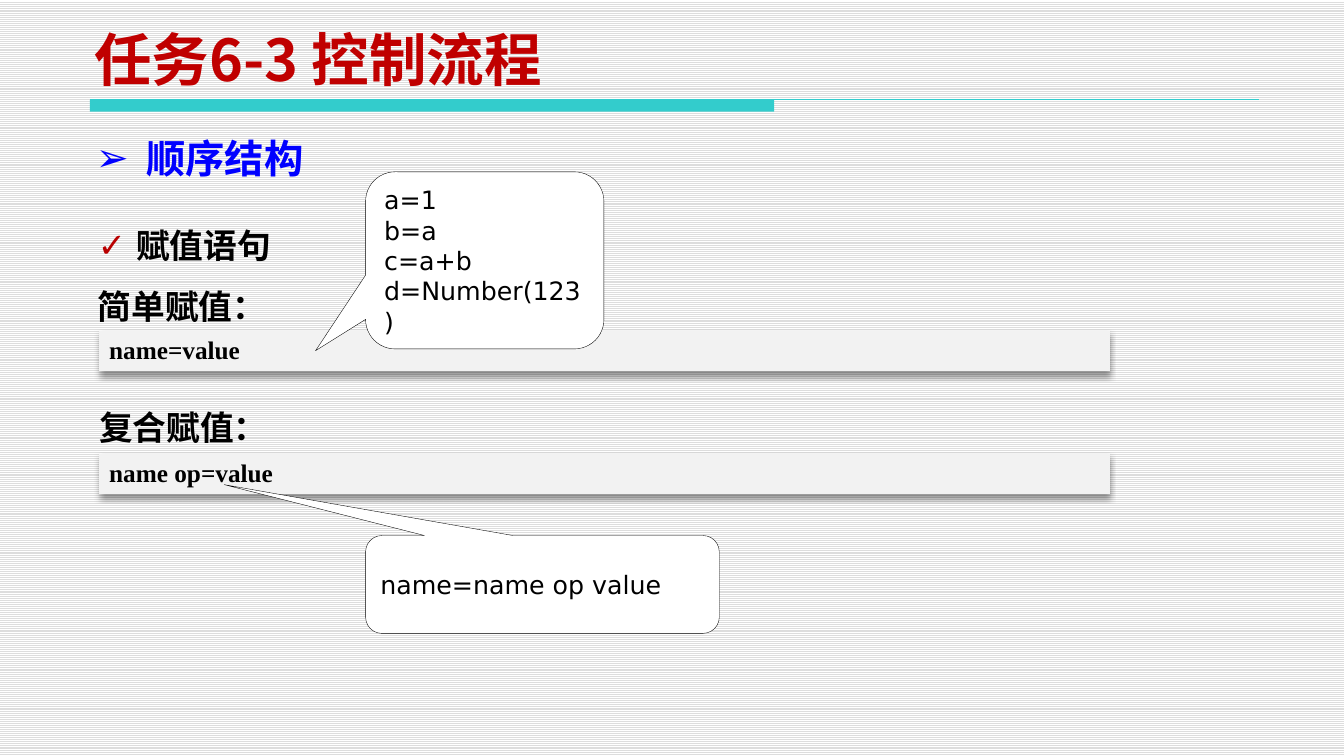
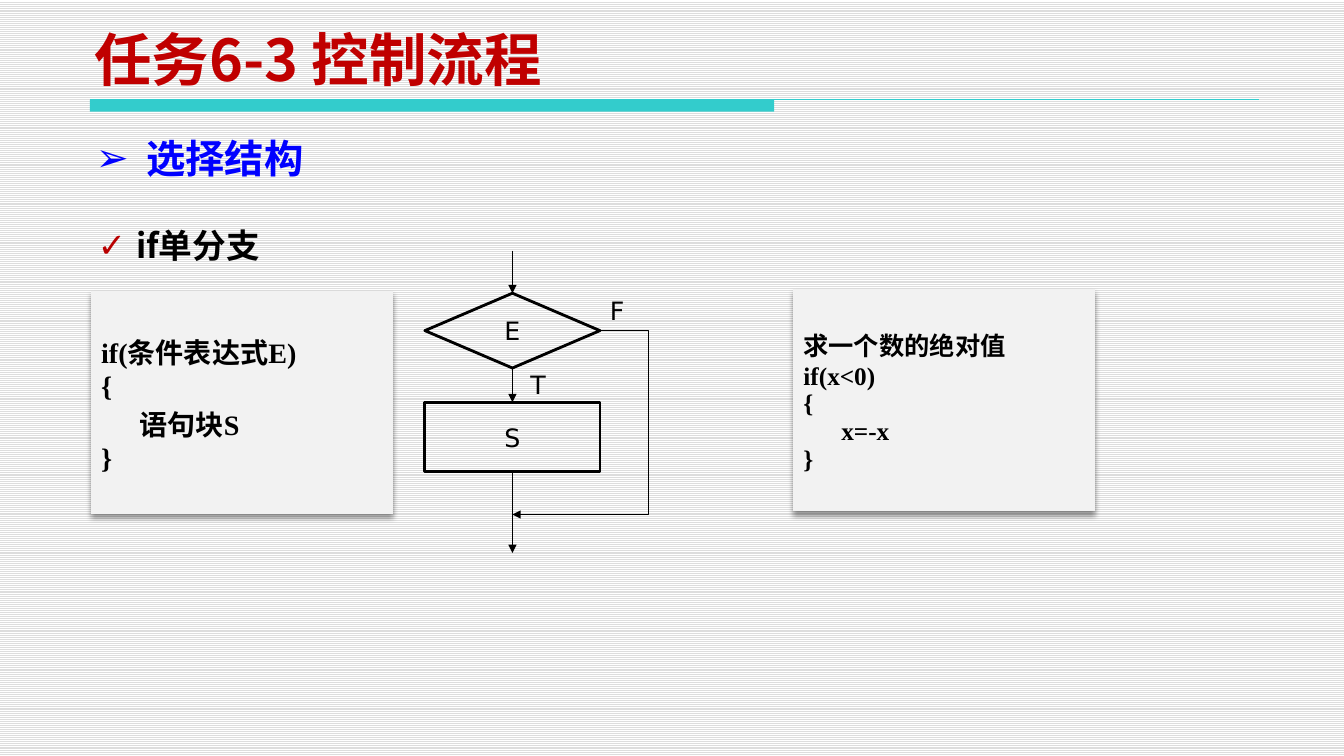
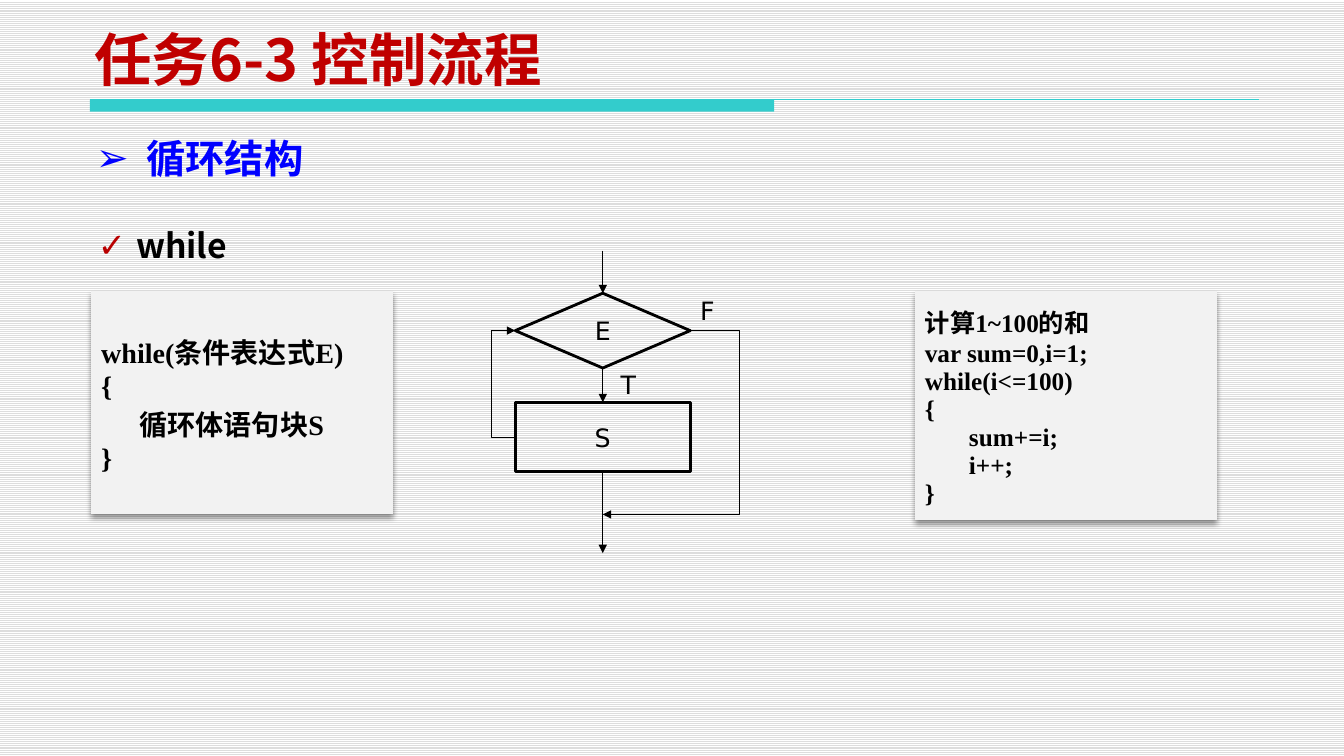
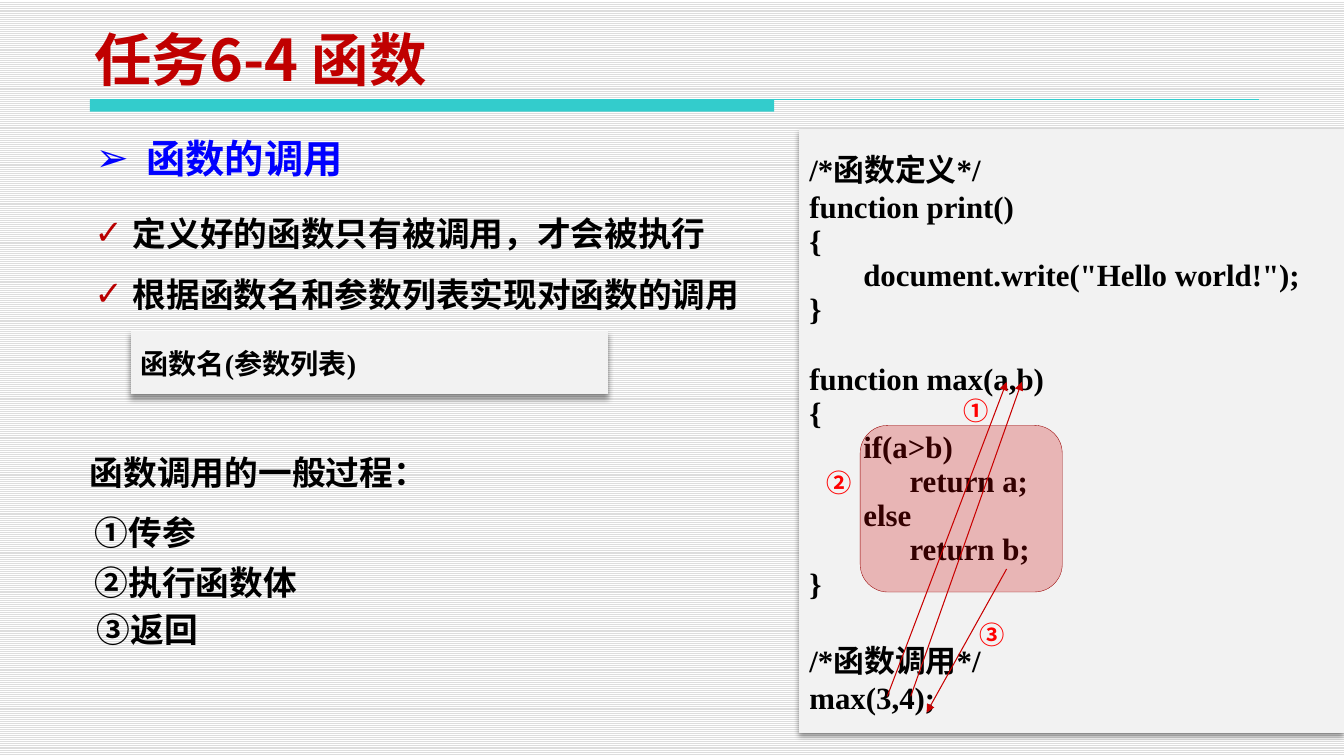
import dataclasses
import typing

import lxml.etree
import pptx
import pptx.dml.color
import pptx.enum.dml
import pptx.enum.shapes
import pptx.enum.text
import pptx.oxml
import pptx.oxml.ns
import pptx.util

Cm, Pt, qn = pptx.util.Cm, pptx.util.Pt, pptx.oxml.ns.qn
SHAPE = pptx.enum.shapes.MSO_SHAPE
CONNECTOR = pptx.enum.shapes.MSO_CONNECTOR
ANCHOR = pptx.enum.text.MSO_ANCHOR
ALIGN = pptx.enum.text.PP_ALIGN
NSDECL = 'xmlns:a="http://schemas.openxmlformats.org/drawingml/2006/main"'

SANS, CJK, SERIF = "DejaVu Sans", "Noto Sans CJK SC", "Times New Roman"
BLACK, WHITE, TEAL, CODE_FILL = "000000", "FFFFFF", "33CCCC", "F2F2F2"
TITLE_RED, HEADING_BLUE, CHECK_RED = "C00000", "0000FF", "B90000"
ARROW_RED, MARK_RED, BODY_RED, BODY_EDGE = "C80000", "FF0000", "CC0000", "970000"


class Box(typing.NamedTuple):
    """Left, top, width and height in centimetres."""
    x: float
    y: float
    w: float
    h: float

    def lengths(self) -> list:
        return [Cm(v) for v in self]


class Bullet(typing.NamedTuple):
    char: str
    color: str
    indent: float


@dataclasses.dataclass(frozen=True)
class Style:
    size: float
    font: str
    color: str = BLACK
    bold: bool = True
    spacing: typing.Optional[float] = None
    align: typing.Optional[ALIGN] = None


TITLE = Style(41, CJK, TITLE_RED, align=ALIGN.LEFT)
HEADING = Style(28, SANS, HEADING_BLUE)
BODY = Style(24, CJK, spacing=1.5)
MARK = Style(18, CJK, MARK_RED, spacing=1.5)
PLAIN = Style(18, SANS, bold=False, align=ALIGN.LEFT)
CENTRED = dataclasses.replace(PLAIN, align=ALIGN.CENTER)
CODE_18, CODE_20, CODE_22 = (Style(size, SERIF) for size in (18, 20, 22))
ARROW_BULLET = Bullet("➢", HEADING_BLUE, 1.27)
CHECK_BULLET = Bullet("✓", CHECK_RED, 0.96)


def rgb(value: str) -> pptx.dml.color.RGBColor:
    return pptx.dml.color.RGBColor.from_string(value)


def add_xml(parent, xml: str, index: typing.Optional[int] = None) -> None:
    """Insert a DrawingML element, at the end unless an index is given."""
    tag, rest = xml[1:].split(" ", 1)
    element = pptx.oxml.parse_xml(f"<{tag} {NSDECL} {rest}")
    parent.insert(len(parent) if index is None else index, element)


def add_bullet(p, bullet: Bullet) -> None:
    pPr = p._p.get_or_add_pPr()
    pPr.set("marL", str(Cm(bullet.indent)))
    pPr.set("indent", str(-Cm(bullet.indent)))
    add_xml(pPr, f'<a:buClr ><a:srgbClr val="{bullet.color}"/></a:buClr>')
    add_xml(pPr, f'<a:buFont typeface="{SANS}"/>')
    add_xml(pPr, f'<a:buChar char="{bullet.char}"/>')


def write(tf, lines: typing.Sequence[str], style: Style,
          bullets: typing.Sequence[typing.Optional[Bullet]] = ()) -> None:
    """Write one paragraph per line; an empty line becomes space before the next."""
    p, gap = tf.paragraphs[0], False
    for i, line in enumerate(lines):
        if not line:
            gap = True
            continue
        if i:
            p = tf.add_paragraph()
        if i < len(bullets) and bullets[i]:
            add_bullet(p, bullets[i])
        if gap:
            p.space_before = Pt(round(style.size * 1.15))
            gap = False
        for name, value in {"line_spacing": style.spacing, "alignment": style.align}.items():
            if value is not None:
                setattr(p, name, value)
        r = p.add_run()
        r.text = line
        for name, value in {"size": Pt(style.size), "bold": style.bold, "name": style.font}.items():
            setattr(r.font, name, value)
        r.font.color.rgb = rgb(style.color)
        add_xml(r._r.get_or_add_rPr(), f'<a:ea typeface="{CJK}"/>')


def add_text(s, box: Box, lines: typing.Sequence[str], style: Style,
             bullets: typing.Sequence[typing.Optional[Bullet]] = (), wrap: bool = True) -> None:
    tf = s.shapes.add_textbox(*box.lengths()).text_frame
    tf.word_wrap = wrap
    write(tf, lines, style, bullets)


def add_shape(s, kind: SHAPE, box: Box, line: str, width: float,
              fill: typing.Optional[str] = None, alpha: int = 100):
    sp = s.shapes.add_shape(kind, *box.lengths())
    sp.shadow.inherit = False
    if fill:
        sp.fill.solid()
        sp.fill.fore_color.rgb = rgb(fill)
        if alpha < 100:
            color = sp.element.spPr.find(f"{qn('a:solidFill')}/{qn('a:srgbClr')}")
            add_xml(color, f'<a:alpha val="{alpha * 1000}"/>')
    else:
        sp.fill.background()
    sp.line.color.rgb = rgb(line)
    sp.line.width = Pt(width)
    return sp


def add_line(s, begin: tuple, end: tuple, color: str = BLACK,
             arrow: bool = True, kind: CONNECTOR = CONNECTOR.STRAIGHT):
    line = s.shapes.add_connector(kind, *(Cm(v) for v in begin + end))
    line.line.color.rgb = rgb(color)
    line.line.width = Pt(0.75)
    if arrow:
        add_xml(line.line._get_or_add_ln(), '<a:tailEnd type="triangle"/>')
    lxml.etree.SubElement(line.element.spPr, qn("a:effectLst"))
    return line


def add_elbow(s, begin: tuple, end: tuple, via_x: float) -> None:
    """Draw a three-part arrow whose upright part stands at via_x."""
    line = add_line(s, begin, end, kind=CONNECTOR.ELBOW)
    adjust = round((via_x - begin[0]) / (end[0] - begin[0]) * 100000)
    geometry = line.element.spPr.find(qn("a:prstGeom"))
    add_xml(geometry.find(qn("a:avLst")), f'<a:gd name="adj1" fmla="val {adjust}"/>')


def add_code(s, box: Box, lines: typing.Sequence[str], style: Style) -> None:
    """Add a one-cell table with a soft shadow below it."""
    table = s.shapes.add_table(1, 1, *box.lengths()).table
    table.first_row = table.horz_banding = False
    add_xml(table._tbl.tblPr,
            '<a:effectLst ><a:outerShdw blurRad="50800" dist="38100" dir="5400000" algn="t">'
            '<a:srgbClr val="000000"><a:alpha val="40000"/></a:srgbClr>'
            '</a:outerShdw></a:effectLst>', 0)
    cell = table.cell(0, 0)
    cell.fill.solid()
    cell.fill.fore_color.rgb = rgb(CODE_FILL)
    cell.vertical_anchor = ANCHOR.MIDDLE
    tcPr = cell._tc.get_or_add_tcPr()
    for i, side in enumerate("LRTB"):
        add_xml(tcPr, f'<a:ln{side} w="0"><a:noFill/></a:ln{side}>', i)
    write(cell.text_frame, lines, style)


def add_callout(s, box: Box, tip: tuple, lines: typing.Sequence[str]) -> None:
    sp = add_shape(s, SHAPE.ROUNDED_RECTANGULAR_CALLOUT, box, BLACK, 0.25, WHITE)
    for i, value in enumerate(tip):
        sp.adjustments[i] = value
    write(sp.text_frame, lines, PLAIN)


def add_flowchart(s, x: float, loop: bool = False) -> None:
    """Draw the E/S flowchart centred on x; a loop leads from S back to E."""
    half = 2.2
    test_y, block_y, join_y = 8.31, 10.99, 12.93
    test = add_shape(s, SHAPE.DIAMOND, Box(x - half, 7.37, 2 * half, 1.88), BLACK, 2)
    block = add_shape(s, SHAPE.FLOWCHART_PROCESS, Box(x - half, 10.11, 2 * half, 1.75), BLACK, 2)
    for sp, letter in ((test, "E"), (block, "S")):
        write(sp.text_frame, [letter], CENTRED)
    enter = add_line(s, (x, 6.3), (x, 7.37))
    enter.end_connect(test, 0)
    accept = add_line(s, (x, 9.25), (x, 10.11))
    accept.begin_connect(test, 2)
    accept.end_connect(block, 0)
    leave = add_line(s, (x, 11.86), (x, 13.9))
    leave.begin_connect(block, 2)
    add_elbow(s, (x + half, test_y), (x, join_y), x + 3.43)
    if loop:
        add_elbow(s, (x - half + 0.02, block_y), (x - half, test_y), x - 2.79)
    for letter, dx, y in (("T", 0.2, 9.15), ("F", half, 7.3)):
        add_text(s, Box(x + dx, y, 0.91, 1.02), [letter], PLAIN, wrap=False)


def set_up_layout(layout, s) -> None:
    """Give the layout its background and move the title band from s to it."""
    fill = layout.background.fill
    fill.patterned()
    fill.pattern = pptx.enum.dml.MSO_PATTERN.LIGHT_HORIZONTAL
    fill.fore_color.rgb = rgb("DDDDDD")
    fill.back_color.rgb = rgb(WHITE)
    band = add_shape(s, SHAPE.RECTANGLE, Box(2.26, 2.51, 17.2, 0.3), TEAL, 0.75, TEAL)
    band.line.fill.background()
    rule = add_line(s, (2.26, 2.51), (31.65, 2.51), TEAL, arrow=False)
    for sp in (band, rule):
        layout.shapes.element.append(sp.element)


def add_headings(s, title: str, heading: str) -> None:
    sp = s.shapes.title
    box = Box(2.11, 0.71, 24.61, 1.75)
    for name, value in zip(("left", "top", "width", "height"), box.lengths()):
        setattr(sp, name, value)
    tf = sp.text_frame
    for name, value in {"vertical_anchor": ANCHOR.BOTTOM, "word_wrap": True,
                        "auto_size": pptx.enum.text.MSO_AUTO_SIZE.NONE}.items():
        setattr(tf, name, value)
    write(tf, [title], TITLE)
    add_text(s, Box(2.16, 3.25, 21.59, 1.47), [heading], HEADING, [ARROW_BULLET])


def build_sequence(s) -> None:
    add_headings(s, "任务6-3 控制流程", "顺序结构")
    add_text(s, Box(2.21, 5.03, 24.08, 9.5), ["赋值语句", "简单赋值："], BODY, [CHECK_BULLET])
    for y, code in ((8.31, "name=value"), (11.4, "name op=value")):
        add_code(s, Box(2.49, y, 25.4, 1.02), [code], CODE_18)
    add_callout(s, Box(9.19, 4.32, 5.99, 4.45), (-0.71, 0.51),
                ["a=1", "b=a", "c=a+b", "d=Number(123)"])
    add_text(s, Box(2.24, 9.6, 24.08, 1.55), ["复合赋值："], BODY)
    add_callout(s, Box(9.19, 13.46, 8.89, 2.46), (-0.9, -1.02), ["name=name op value"])


def build_branch(s) -> None:
    add_headings(s, "任务6-3 控制流程", "选择结构")
    add_text(s, Box(2.21, 5.03, 24.08, 1.55), ["if单分支"], BODY, [CHECK_BULLET])
    add_code(s, Box(2.29, 7.32, 7.59, 5.59), ["if(条件表达式E)", "{", "      语句块S", "}"], CODE_20)
    add_flowchart(s, 12.88)
    add_code(s, Box(19.94, 7.26, 7.59, 5.59),
             ["求一个数的绝对值", "if(x<0)", "{", "      x=-x", "}"], CODE_18)


def build_loop(s) -> None:
    add_headings(s, "任务6-3 控制流程", "循环结构")
    add_text(s, Box(2.21, 5.03, 24.08, 1.55), ["while"], BODY, [CHECK_BULLET])
    add_code(s, Box(2.29, 7.32, 7.59, 5.59),
             ["while(条件表达式E)", "{", "      循环体语句块S", "}"], CODE_20)
    add_code(s, Box(22.99, 7.32, 7.59, 5.74),
             ["计算1~100的和", "var sum=0,i=1; while(i<=100)", "{",
              "       sum+=i;", "       i++;", "}"], CODE_18)
    add_flowchart(s, 15.15, loop=True)


def build_call(s) -> None:
    add_headings(s, "任务6-4 函数", "函数的调用")
    add_text(s, Box(2.13, 4.72, 25.35, 4),
             ["定义好的函数只有被调用，才会被执行", "根据函数名和参数列表实现对函数的调用"],
             BODY, [CHECK_BULLET] * 2)
    add_code(s, Box(3.28, 8.31, 11.99, 1.6), ["函数名(参数列表)"], CODE_20)
    add_code(s, Box(20.09, 3.25, 13.69, 15.16), [
        "/*函数定义*/",
        "function print()",
        "{",
        '       document.write("Hello world!");',
        "}",
        "",
        "function max(a,b)",
        "{",
        "       if(a>b)",
        "             return a;",
        "       else",
        "             return b;",
        "}",
        "",
        "/*函数调用*/",
        "max(3,4);",
    ], CODE_22)
    for x, y, text in ((2.01, 10.72, "函数调用的一般过程："), (2.13, 12.22, "①传参"),
                       (2.13, 13.49, "②执行函数体"), (2.18, 14.68, "③返回")):
        add_text(s, Box(x, y, 17.27, 1.55), [text], BODY)
    add_shape(s, SHAPE.ROUNDED_RECTANGLE, Box(21.62, 10.69, 5.08, 4.19),
              BODY_EDGE, 0.25, BODY_RED, alpha=25)
    for begin, end in (((22.3, 17.5), (25.3, 9.6)), ((22.89, 17.5), (25.68, 9.6)),
                       ((25.3, 14.3), (23.29, 17.91))):
        add_line(s, begin, end, ARROW_RED)
    for x, y, mark in ((23.98, 9.42, "①"), (20.52, 11.25, "②"), (24.36, 15.06, "③")):
        add_text(s, Box(x, y, 1.3, 1.22), [mark], MARK)


def main() -> None:
    prs = pptx.Presentation()
    prs.slide_width, prs.slide_height = Cm(33.78), Cm(19)
    layout = prs.slide_layouts[5]
    for i, build in enumerate((build_sequence, build_branch, build_loop, build_call)):
        s = prs.slides.add_slide(layout)
        if i == 0:
            set_up_layout(layout, s)
        build(s)
    prs.save("out.pptx")


if __name__ == "__main__":
    main()
